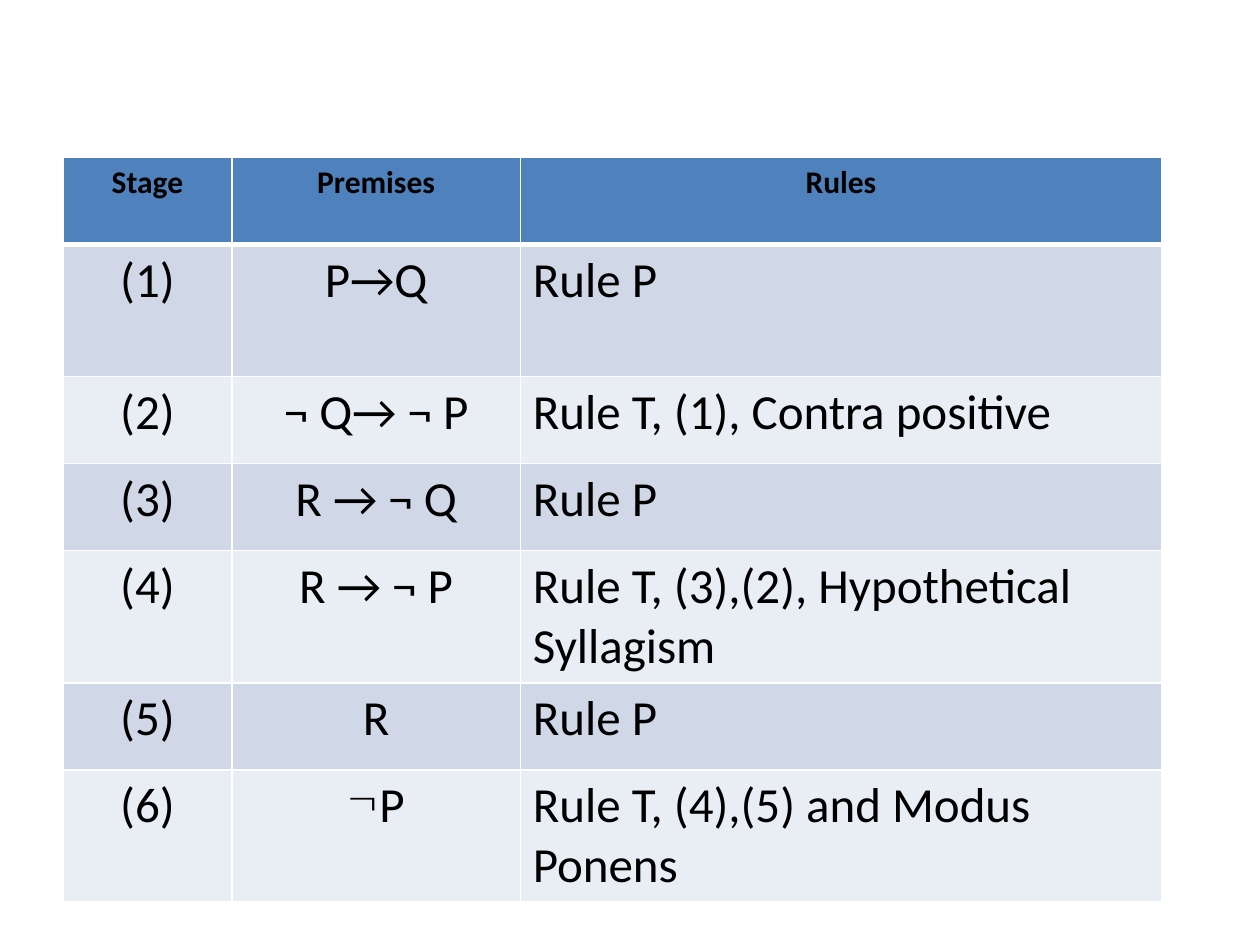
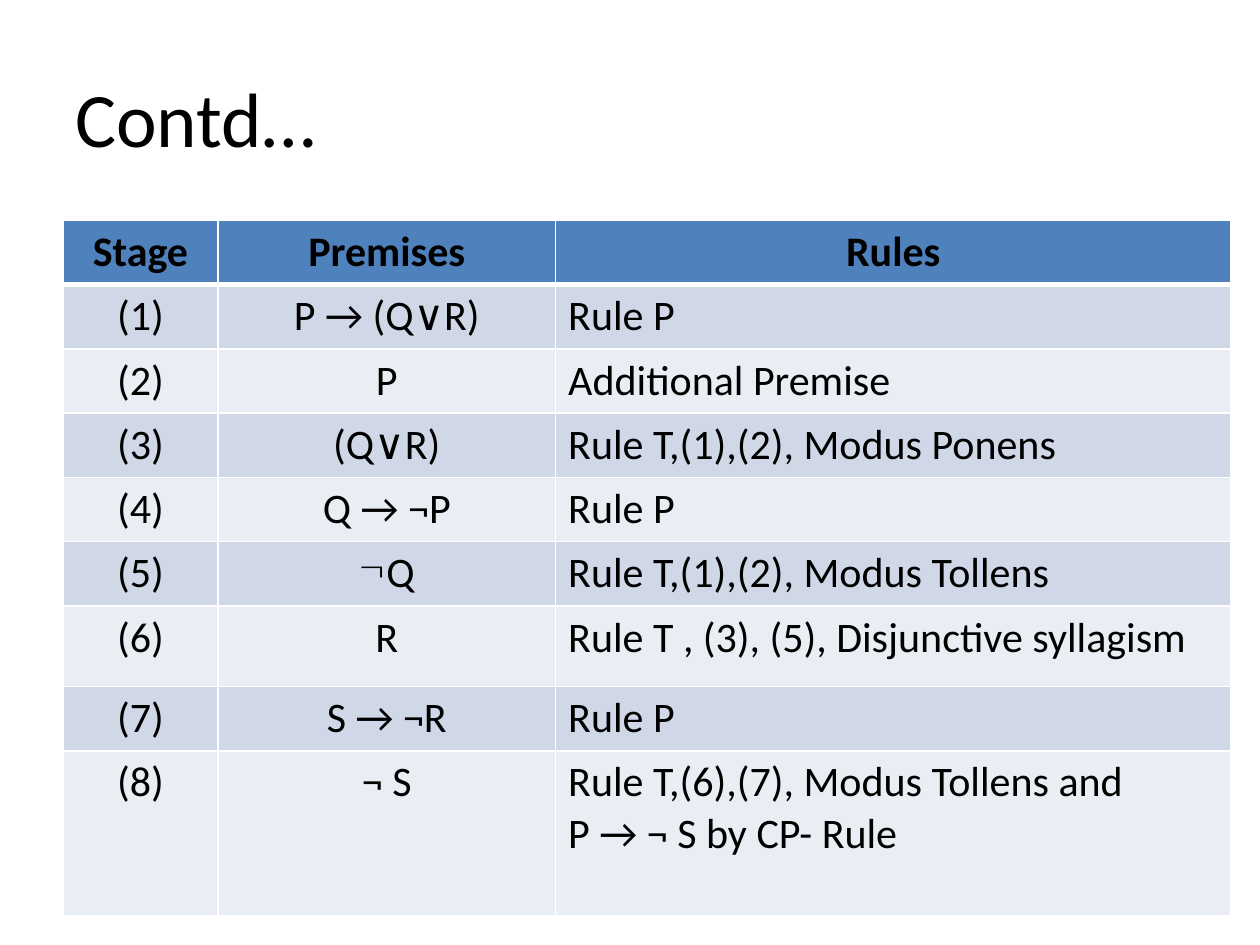
"""Builds two slides of rule-of-inference proof tables."""
from dataclasses import dataclass

from lxml.etree import SubElement
from pptx import Presentation
from pptx.dml.color import RGBColor
from pptx.enum.text import MSO_ANCHOR as Anchor, PP_ALIGN as Align
from pptx.oxml.ns import qn
from pptx.util import Emu, Inches, Pt


@dataclass(frozen=True)
class Theme:
    font: str = "Calibri"
    ink: str = "000000"
    border: str = "FFFFFF"
    header: str = "4F81BD"
    bands: tuple[str, str] = ("D0D8E8", "E9EDF4")
    title_size: int = 44
    line: float = 1
    header_line: float = 3


@dataclass(frozen=True)
class Proof:
    top: float
    cols: tuple[float, ...]
    row_heights: tuple[float, ...]
    header_size: int
    body_size: int
    steps: tuple[tuple[str, str], ...]
    negated_step: int
    title: str = ""


THEME = Theme()
LEFT = 0.5
HEADINGS = ("Stage", "Premises", "Rules")
NEGATION = "¬"
BULLET_INDENT = Inches(0.2)

PROOFS = (
    Proof(
        top=1.25, cols=(1.34, 2.29, 5.09),
        row_heights=(0.69, 1.05, 0.69, 0.69, 1.05, 0.69, 1.05),
        header_size=18, body_size=28, negated_step=6,
        steps=(
            ("P→Q", "Rule P"),
            ("¬ Q→ ¬ P", "Rule T, (1), Contra positive"),
            ("R → ¬ Q", "Rule P"),
            ("R → ¬ P", "Rule T, (3),(2), Hypothetical Syllagism"),
            ("R", "Rule P"),
            ("P", "Rule T, (4),(5) and Modus Ponens"),
        ),
    ),
    Proof(
        title="Contd…", top=1.75, cols=(1.23, 2.68, 5.36),
        row_heights=(0.51,) * 6 + (0.64, 0.51, 1.31),
        header_size=24, body_size=24, negated_step=5,
        steps=(
            ("P → (Q∨R)", "Rule P"),
            ("P", "Additional Premise"),
            ("(Q∨R)", "Rule T,(1),(2), Modus Ponens"),
            ("Q → ¬P", "Rule P"),
            ("Q", "Rule T,(1),(2), Modus Tollens"),
            ("R", "Rule T , (3), (5), Disjunctive syllagism"),
            ("S → ¬R", "Rule P"),
            ("¬ S", "Rule T,(6),(7), Modus Tollens and\nP → ¬ S by CP- Rule"),
        ),
    ),
)


def write(tf, text: str, size: int, align: Align, bold: bool = False, bullet: str = "") -> None:
    tf.text = text
    for p in tf.paragraphs:
        p.alignment = align
        if bullet:
            pPr = p._p.get_or_add_pPr()
            pPr.set("marL", str(BULLET_INDENT))
            pPr.set("indent", str(-BULLET_INDENT))
            SubElement(pPr, qn("a:buChar"), char=bullet)
        for r in p.runs:
            for name, value in {"name": THEME.font, "size": Pt(size), "bold": bold}.items():
                setattr(r.font, name, value)
            r.font.color.rgb = RGBColor.from_string(THEME.ink)


def paint_cell(cell, row: int) -> None:
    widths = dict.fromkeys(("lnL", "lnR", "lnT", "lnB"), THEME.line)
    if row == 0:
        widths["lnB"] = THEME.header_line
    elif row == 1:
        widths["lnT"] = THEME.header_line
    tcPr = cell._tc.get_or_add_tcPr()
    for side, width in widths.items():
        ln = SubElement(tcPr, qn(f"a:{side}"), w=str(Pt(width)))
        fill = SubElement(ln, qn("a:solidFill"))
        SubElement(fill, qn("a:srgbClr"), val=THEME.border)
    cell.fill.solid()
    color = THEME.bands[(row - 1) % 2] if row else THEME.header
    cell.fill.fore_color.rgb = RGBColor.from_string(color)


def add_title(s, text: str) -> None:
    tf = s.shapes.add_textbox(Inches(LEFT), Inches(0.3), Inches(9), Inches(1.25)).text_frame
    tf.word_wrap = True
    tf.vertical_anchor = Anchor.MIDDLE
    write(tf, text, THEME.title_size, Align.LEFT)


def add_proof(s, proof: Proof) -> None:
    rows = [HEADINGS] + [(f"({n})", *step) for n, step in enumerate(proof.steps, 1)]
    table = s.shapes.add_table(
        len(rows), len(HEADINGS), Inches(LEFT), Inches(proof.top),
        Inches(sum(proof.cols)), Inches(sum(proof.row_heights)),
    ).table
    for column, width in zip(table.columns, proof.cols):
        column.width = Inches(width)
    for i, (row, height) in enumerate(zip(rows, proof.row_heights)):
        table.rows[i].height = Inches(height)
        for j, text in enumerate(row):
            cell = table.cell(i, j)
            paint_cell(cell, i)
            is_header = i == 0
            write(
                cell.text_frame, text,
                size=proof.header_size if is_header else proof.body_size,
                align=Align.CENTER if is_header or j < 2 else Align.LEFT,
                bold=is_header,
                bullet=NEGATION if (i, j) == (proof.negated_step, 1) else "",
            )


def main() -> None:
    prs = Presentation()
    prs.slide_width, prs.slide_height = Inches(10), Inches(7.5)
    for proof in PROOFS:
        s = prs.slides.add_slide(prs.slide_layouts[6])
        if proof.title:
            add_title(s, proof.title)
        add_proof(s, proof)
    prs.save("out.pptx")


if __name__ == "__main__":
    main()
